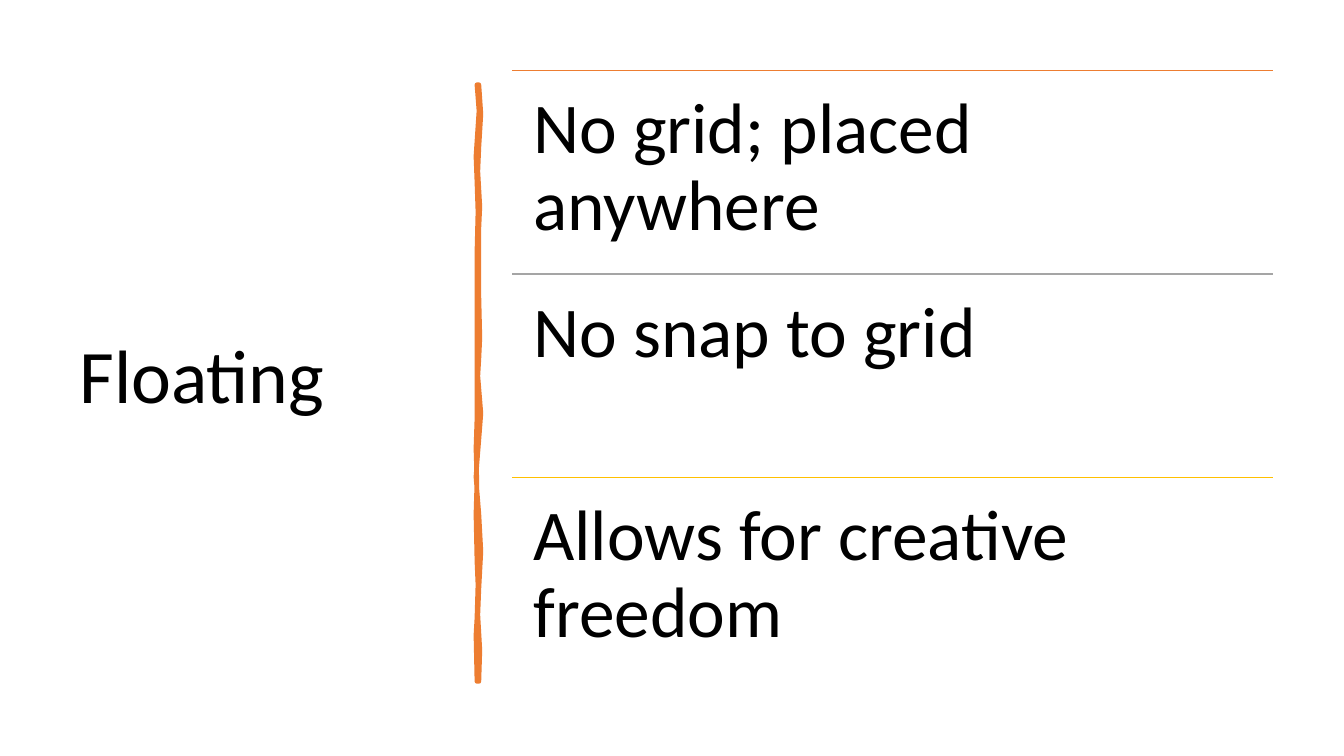
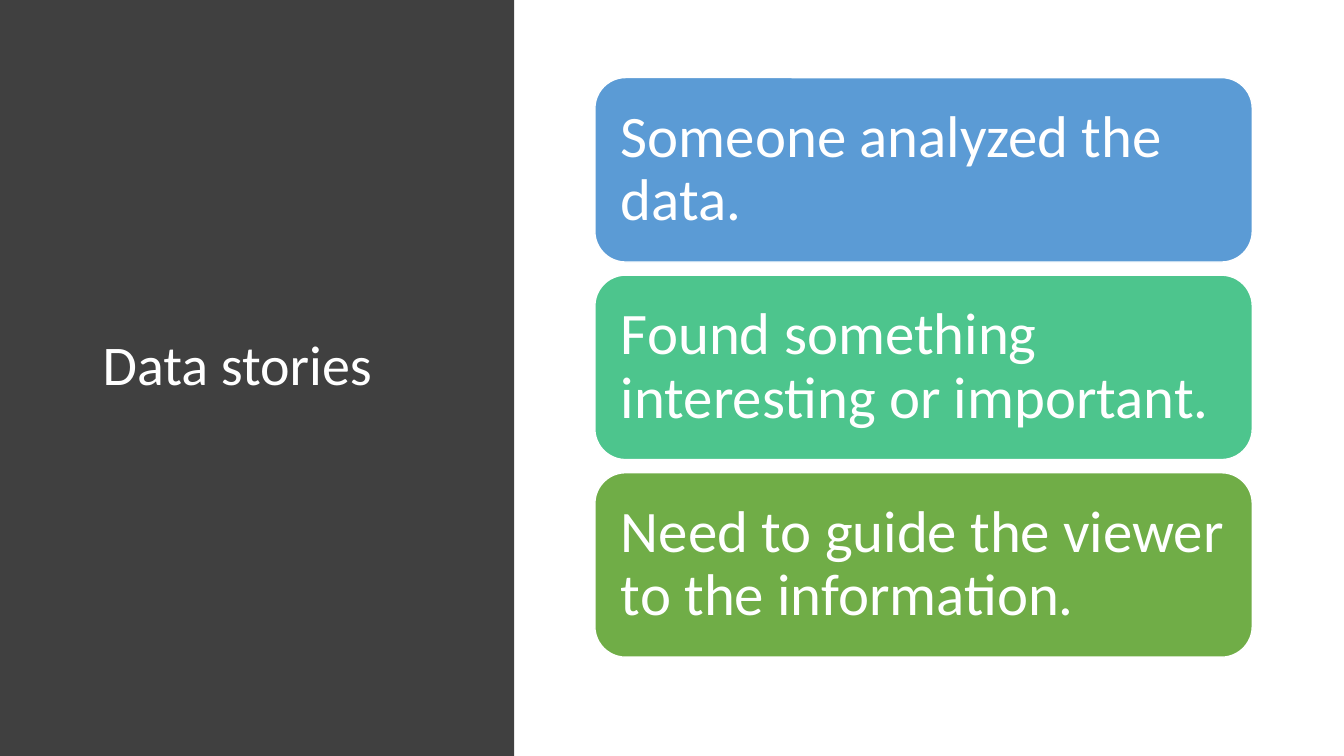
from lxml.etree import SubElement
from pptx import Presentation
from pptx.dml.color import RGBColor
from pptx.enum.shapes import MSO_CONNECTOR, MSO_SHAPE
from pptx.enum.text import MSO_ANCHOR, PP_ALIGN
from pptx.oxml.ns import qn
from pptx.util import Inches, Pt

FONT = "Calibri"
BLACK, WHITE, CHARCOAL = "000000", "FFFFFF", "404040"
ORANGE, GRAY, GOLD = "ED7D31", "A5A5A5", "FFC000"
BLUE, TEAL, GREEN = "5B9BD5", "4DC58D", "70AD47"


def color(hex_value):
    return RGBColor.from_string(hex_value)


def write_text(shape, text, size, text_color, anchor, inset_x, inset_y):
    """Set one left-aligned paragraph; insets are in inches."""
    frame = shape.text_frame
    frame.text = text
    frame.word_wrap = True
    frame.vertical_anchor = anchor
    frame.margin_left = frame.margin_right = Inches(inset_x)
    frame.margin_top = frame.margin_bottom = Inches(inset_y)
    paragraph = frame.paragraphs[0]
    paragraph.alignment = PP_ALIGN.LEFT
    paragraph.line_spacing = 0.9
    font = paragraph.runs[0].font
    font.name = FONT
    font.size = Pt(size)
    font.color.rgb = color(text_color)


presentation = Presentation()
presentation.slide_width = Inches(13.33)
presentation.slide_height = Inches(7.5)
blank_layout = presentation.slide_layouts[6]

# Slide 1: Floating
slide = presentation.slides.add_slide(blank_layout)
title = slide.shapes.add_textbox(Inches(0.69), Inches(0.7), Inches(3.74), Inches(6.11))
write_text(title, "Floating", 54, BLACK, MSO_ANCHOR.MIDDLE, 0.1, 0.05)

# Wavy divider outline, in hundredths of an inch
right_edge = [
    (475, 84), (477, 113), (475, 146), (474, 170), (476, 205), (475, 226),
    (475, 294), (476, 335), (475, 356), (474, 373), (477, 410), (475, 436),
    (472, 473), (475, 510), (477, 547), (475, 584), (474, 610), (476, 645),
    (475, 676),
]
left_edge = [
    (473, 676), (472, 630), (473, 613), (474, 580), (473, 557), (472, 510),
    (473, 477), (472, 445), (473, 415), (473, 335), (473, 250), (474, 210),
    (473, 181), (472, 155), (475, 110), (473, 84),
]
builder = slide.shapes.build_freeform(*right_edge[0], scale=Inches(0.01))
builder.add_line_segments(right_edge[1:] + left_edge, close=True)
divider = builder.convert_to_shape()
divider.shadow.inherit = False
divider.fill.solid()
divider.fill.fore_color.rgb = color(ORANGE)
divider.line.color.rgb = color(ORANGE)
divider.line.width = Pt(3.25)
SubElement(divider.element.spPr.find(qn("a:ln")), qn("a:round"))

points = [
    ("No grid; placed anywhere", ORANGE),
    ("No snap to grid", GRAY),
    ("Allows for creative freedom", GOLD),
]
row_left, row_width, row_height = Inches(5.08), Inches(7.55), Inches(2.02)
for index, (text, rule_color) in enumerate(points):
    top = Inches(0.7) + index * row_height
    rule = slide.shapes.add_connector(
        MSO_CONNECTOR.STRAIGHT, row_left, top, row_left + row_width, top)
    rule.line.color.rgb = color(rule_color)
    rule.line.width = Pt(1)
    SubElement(rule.element.spPr, qn("a:effectLst"))
    row = slide.shapes.add_textbox(row_left, top, row_width, row_height)
    write_text(row, text, 51, BLACK, MSO_ANCHOR.TOP, 0.21, 0.21)

# Slide 2: Data stories
slide = presentation.slides.add_slide(blank_layout)
panel = slide.shapes.add_shape(
    MSO_SHAPE.RECTANGLE, 0, 0, Inches(5.1), presentation.slide_height)
panel.shadow.inherit = False
panel.fill.solid()
panel.fill.fore_color.rgb = color(CHARCOAL)
panel.line.fill.background()
title = slide.shapes.add_textbox(Inches(0.92), Inches(0.68), Inches(3.67), Inches(5.92))
write_text(title, "Data stories", 40, WHITE, MSO_ANCHOR.MIDDLE, 0.1, 0.05)

steps = [
    ("Someone analyzed the data.", BLUE),
    ("Found something interesting or important.", TEAL),
    ("Need to guide the viewer to the information.", GREEN),
]
card_height, card_gap = Inches(1.83), Inches(0.13)
for index, (text, card_color) in enumerate(steps):
    top = Inches(0.77) + index * (card_height + card_gap)
    card = slide.shapes.add_shape(
        MSO_SHAPE.ROUNDED_RECTANGLE, Inches(5.9), top, Inches(6.52), card_height)
    card.shadow.inherit = False
    card.fill.solid()
    card.fill.fore_color.rgb = color(card_color)
    card.line.color.rgb = color(WHITE)
    card.line.width = Pt(1)
    write_text(card, text, 42, WHITE, MSO_ANCHOR.MIDDLE, 0.17, 0.17)

presentation.save("out.pptx")
